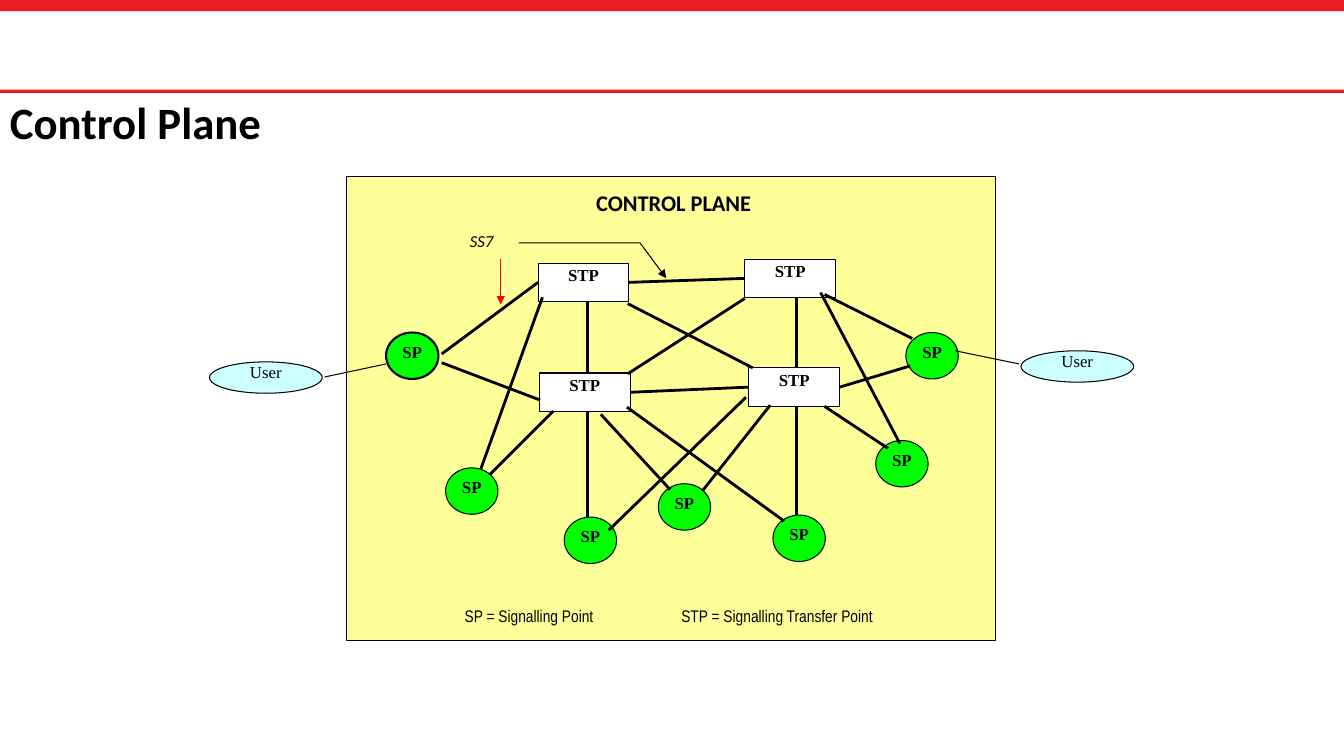
from lxml import etree
from pptx import Presentation
from pptx.dml.color import RGBColor
from pptx.enum.shapes import MSO_CONNECTOR, MSO_SHAPE
from pptx.enum.text import MSO_ANCHOR, MSO_AUTO_SIZE, PP_ALIGN
from pptx.oxml.ns import qn
from pptx.util import Cm, Pt

RECT, OVAL = MSO_SHAPE.RECTANGLE, MSO_SHAPE.OVAL
STRAIGHT = MSO_CONNECTOR.STRAIGHT
TOP, MIDDLE, BOTTOM = MSO_ANCHOR.TOP, MSO_ANCHOR.MIDDLE, MSO_ANCHOR.BOTTOM
LEFT, CENTER = PP_ALIGN.LEFT, PP_ALIGN.CENTER
NO_FIT = MSO_AUTO_SIZE.NONE
RED, BLACK, WHITE, YELLOW = "ED1D24", "000000", "FFFFFF", "FFFF99"
GREEN, CYAN = "00FF00", "CCFFFF"
SERIF = "Times New Roman"


def paint(shape, line, width=0.75, fill=None):
    """Set outline and fill; None means no outline or no fill."""
    if line:
        shape.line.color.rgb = RGBColor.from_string(line)
        shape.line.width = Pt(width)
    else:
        shape.line.fill.background()
    if fill:
        shape.fill.solid()
        shape.fill.fore_color.rgb = RGBColor.from_string(fill)


def write(shape, text, font, size, bold=False, align=CENTER, anchor=TOP, inset=0.05):
    """Put one formatted paragraph into a shape and return it."""
    frame = shape.text_frame
    frame.word_wrap = True
    frame.auto_size = NO_FIT
    frame.vertical_anchor = anchor
    frame.margin_left = frame.margin_right = Cm(inset)
    frame.margin_top = frame.margin_bottom = Cm(0.05)
    frame.text = text
    par = frame.paragraphs[0]
    par.alignment = align
    par.font.name, par.font.size, par.font.bold = font, Pt(size), bold
    par.font.color.rgb = RGBColor.from_string(BLACK)
    return par


prs = Presentation()
prs.slide_width, prs.slide_height = Cm(33.87), Cm(19.05)
slide = prs.slides.add_slide(prs.slide_layouts[5])
shapes = slide.shapes

title = shapes.title
title.left, title.top, title.width, title.height = Cm(0), Cm(2.51), Cm(29.21), Cm(1.27)
write(title, "Control Plane", "Calibri", 32, True, LEFT, MIDDLE, 0.25).line_spacing = 0.9

# Red bars, the plane and its heading
for x, y, w, h, fill, line in [
    (0, 0, 33.87, 0.28, RED, None),
    (0, 2.26, 33.87, 0.08, RED, None),
    (8.74, 4.45, 16.36, 11.7, YELLOW, BLACK),
    (13.13, 4.72, 7.7, 0.97, YELLOW, None),
]:
    box = shapes.add_shape(RECT, Cm(x), Cm(y), Cm(w), Cm(h))
    box.shadow.inherit = False
    paint(box, line, fill=fill)
write(box, "CONTROL PLANE", "Calibri", 16, True)

# Vertical trunks lie behind the nodes
links = []
for x, y in [(20.07, 13.13), (14.81, 13.23)]:
    links.append((shapes.add_connector(STRAIGHT, Cm(x), Cm(y), Cm(x), Cm(7.49)), BLACK, 2))

# Nodes: kind -> preset, width, height, fill, bold, anchor, places
kinds = {
    "STP": (RECT, 2.29, 0.97, WHITE, True, TOP,
            [(13.56, 6.63), (18.77, 6.53), (13.59, 9.4), (18.87, 9.27)]),
    "SP": (OVAL, 1.32, 1.17, GREEN, True, TOP,
           [(9.73, 8.38), (11.23, 11.79), (14.22, 13.03), (16.59, 12.19),
            (19.48, 12.98), (22.07, 11.1), (22.83, 8.38)]),
    "User": (OVAL, 2.84, 0.79, CYAN, False, BOTTOM, [(5.28, 9.12), (25.73, 8.84)]),
}
nodes = {}
for name, (preset, w, h, fill, bold, anchor, places) in kinds.items():
    nodes[name] = []
    for x, y in places:
        node = shapes.add_shape(preset, Cm(x), Cm(y), Cm(w), Cm(h))
        node.shadow.inherit = False
        paint(node, BLACK, fill=fill)
        write(node, name, SERIF, 12, bold, anchor=anchor)
        if name == "User":
            node.text_frame.margin_bottom = Cm(0.18)
        nodes[name].append(node)
nodes["SP"][0].line.width = Pt(1.5)
stp = nodes["STP"]

# Links: start, end, width, then (STP, side) joined at start and at end
for x1, y1, x2, y2, width, begin, end in [
    (11.13, 8.92, 13.56, 7.11, 2, None, (0, 1)),
    (12.12, 11.81, 13.67, 7.49, 2, None, None),
    (11.13, 9.14, 13.61, 10.08, 2, None, None),
    (15.85, 7.11, 18.77, 7.01, 2, (0, 3), (1, 1)),
    (15.88, 9.88, 18.87, 9.75, 2, (2, 3), (3, 1)),
    (15.82, 9.42, 18.77, 7.52, 2, None, None),
    (15.82, 7.65, 18.97, 9.27, 2, None, None),
    (15.14, 10.44, 16.89, 12.34, 2, None, None),
    (15.8, 10.26, 19.76, 13.13, 2, None, None),
    (19.41, 10.21, 17.7, 12.37, 2, None, None),
    (18.8, 10.01, 15.34, 13.36, 2, None, None),
    (13.94, 10.36, 12.34, 11.96, 2, None, None),
    (20.78, 7.42, 22.99, 8.53, 2, None, None),
    (21.16, 9.75, 22.94, 9.22, 2, (3, 3), None),
    (20.68, 7.37, 22.68, 11.18, 2, None, None),
    (20.78, 10.24, 22.38, 11.3, 2, None, None),
    (8.18, 9.5, 9.73, 9.17, 0.75, None, None),
    (24.08, 8.84, 25.68, 9.17, 0.75, None, None),
]:
    link = shapes.add_connector(STRAIGHT, Cm(x1), Cm(y1), Cm(x2), Cm(y2))
    if begin:
        link.begin_connect(stp[begin[0]], begin[1])
    if end:
        link.end_connect(stp[end[0]], end[1])
    links.append((link, BLACK, width))

# SS7 label with its two arrows
arrow = shapes.add_connector(STRAIGHT, Cm(12.62), Cm(6.53), Cm(12.62), Cm(7.67))
links.append((arrow, "FF0000", 0.75))
path = shapes.build_freeform(Cm(13.08), Cm(6.12))
path.add_line_segments([(Cm(16.13), Cm(6.12)), (Cm(16.79), Cm(7.01))], close=False)
bend = path.convert_to_shape()
bend.shadow.inherit = False
bend.fill.background()
paint(bend, BLACK)

for link, color, width in links:
    paint(link, color, width)
    etree.SubElement(link._element.spPr, qn("a:effectLst"))
for pointer in (arrow, bend):
    etree.SubElement(pointer.line._get_or_add_ln(), qn("a:tailEnd"), type="triangle")

label = shapes.add_textbox(Cm(11.79), Cm(5.79), Cm(1.57), Cm(0.81))
par = write(label, "SS7", "Calibri", 12, align=LEFT)
par.font.italic = True
par.line_spacing = 0.96

# Key, its second entry set by a tab stop
key = shapes.add_textbox(Cm(11.66), Cm(15.16), Cm(12.8), Cm(0.91))
par = write(key, "", "Arial Narrow", 12, align=LEFT)
par.text = "SP = Signalling Point\tSTP = Signalling Transfer Point"
par.line_spacing = 1.12
tabs = etree.Element(qn("a:tabLst"))
etree.SubElement(tabs, qn("a:tab"), pos=str(Cm(5.46)), algn="l")
par._p.pPr.insert(1, tabs)

prs.save("out.pptx")
